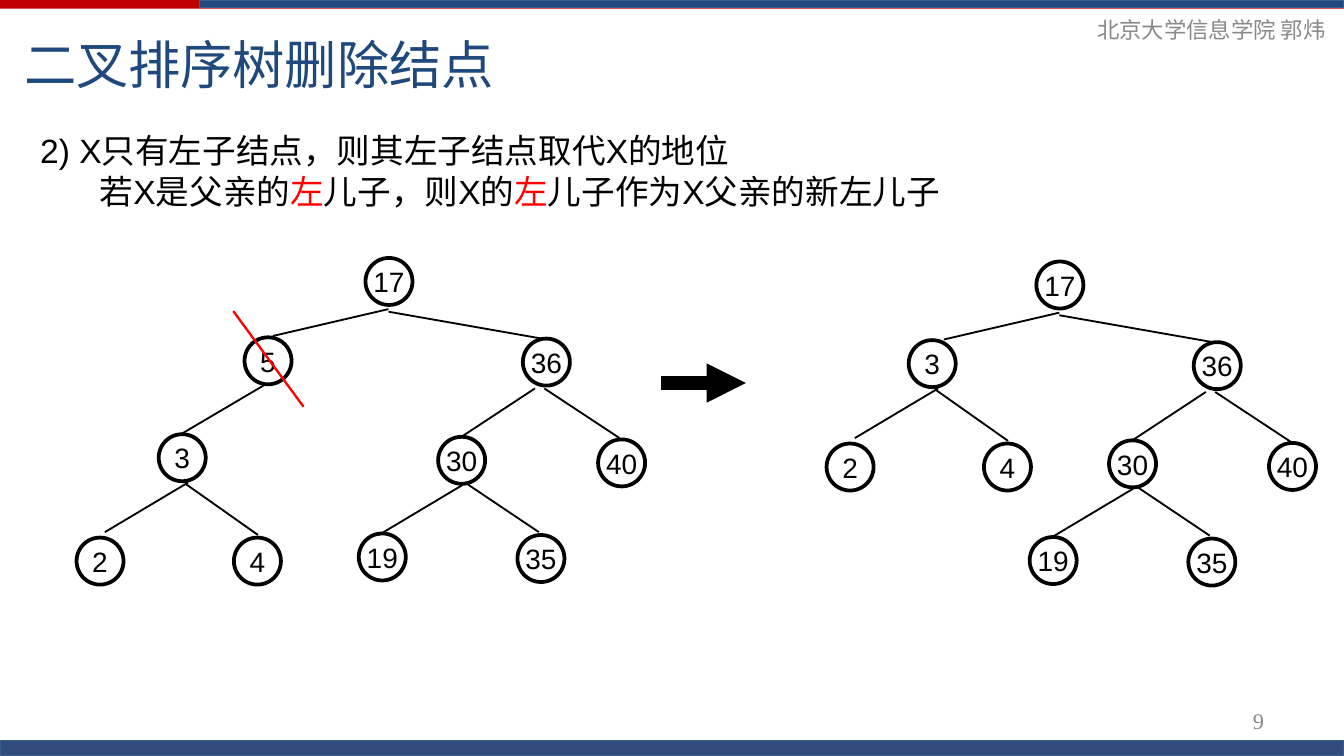
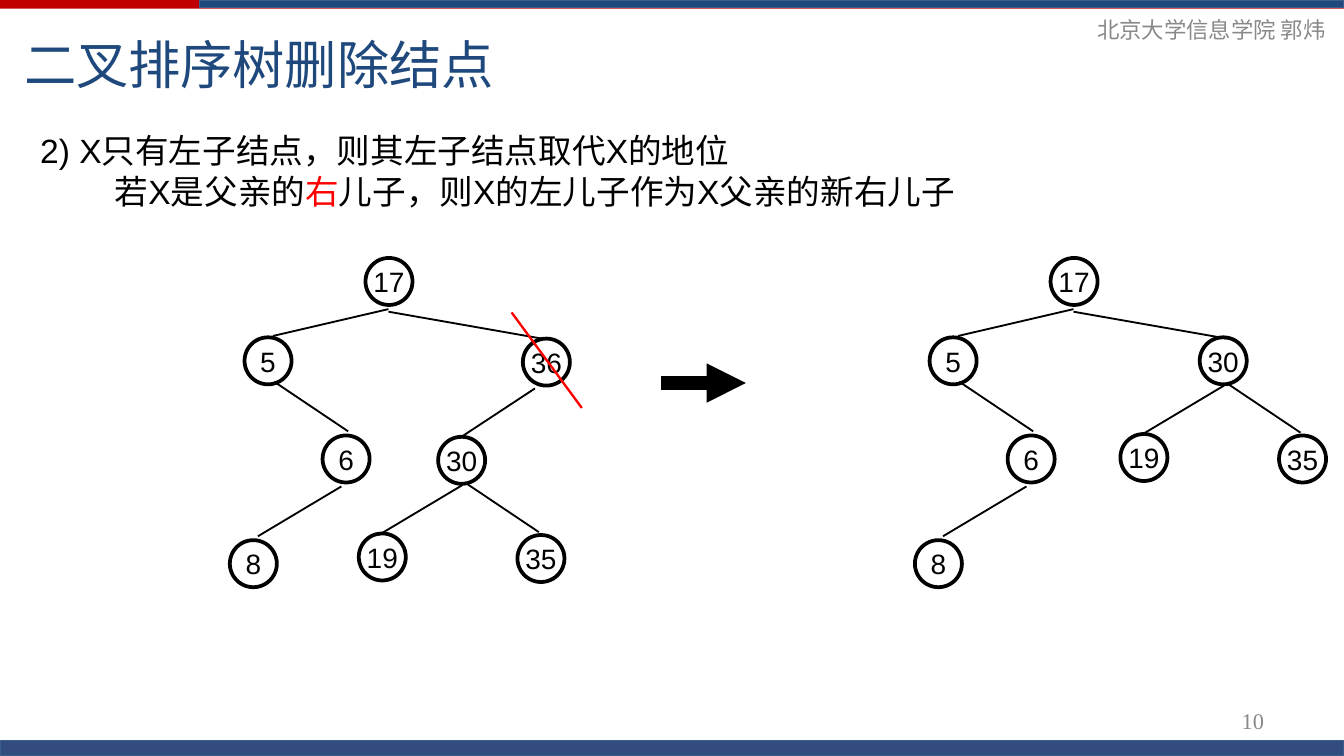
from lxml import etree
from pptx import Presentation
from pptx.dml.color import RGBColor
from pptx.enum.shapes import MSO_CONNECTOR, MSO_SHAPE
from pptx.enum.text import MSO_ANCHOR, PP_ALIGN
from pptx.oxml.ns import qn
from pptx.util import Pt

RECT, OVAL = MSO_SHAPE.RECTANGLE, MSO_SHAPE.OVAL
LINE = MSO_CONNECTOR.STRAIGHT
MID, TOP = MSO_ANCHOR.MIDDLE, MSO_ANCHOR.TOP
LEFT, RIGHT, CENTER = PP_ALIGN.LEFT, PP_ALIGN.RIGHT, PP_ALIGN.CENTER

HEX = {
    "red": "C00000", "blue": "1F497D", "edge": "3A5F8C", "navy": "002060",
    "gray": "898989", "black": "000000", "mark": "FF0000",
}
SANS, SERIF = "Arial", "Times New Roman"
WIDE, HIGH, NODE = 720, 405, 25.2

HEAD = "北京大学信息学院 郭炜"
TITLE = "二叉排序树删除结点"
RULE = "2) X只有左子结点，则其左子结点取代X的地位"

# MARK


PARTS = {
    "17": ([("17", 195.8, 138.2)],
           [(208.1, 165.6, 146.2, 180), (208.1, 167, 290.2, 181.4)]),
    "5": ([("5", 131, 180.7)], []),
    "5-3": ([], [(141.1, 206.6, 95.8, 233.3)]),
    "3": ([("3", 85, 232.6), ("2", 41, 288), ("4", 125.3, 288)],
          [(100.8, 258.5, 56.2, 285.1), (99.4, 259.2, 138.2, 286.6)]),
    "6": ([("6", 172.8, 233.3), ("8", 123.1, 289.4)],
          [(146.9, 204.5, 186.5, 231.1), (182.9, 260.6, 138.2, 287.3)]),
    "36": ([("36", 280.1, 181.4)], [(286.6, 208.1, 246.2, 234.7)]),
    "40": ([("40", 320.4, 235.4)], [(291.6, 208.1, 331.9, 234.7)]),
    "30": ([("30", 234.7, 234), ("19", 192.2, 285.8), ("35", 277.2, 286.6)],
           [(247.7, 259.9, 203, 286.6), (249.1, 258.5, 288.7, 285.1)]),
}

SLIDES = [
    {
        "page": "9", "indent": 32, "cut": "5",
        "case": [("若X是父亲的", "black"), ("左", "mark"), ("儿子，则X的", "black"),
                 ("左", "mark"), ("儿子作为X父亲的新左儿子", "black")],
        "trees": [(0, 0, ["17", "5", "5-3", "3", "36", "40", "30"]),
                  (359.4, 1.9, ["17", "36", "40", "30"]),
                  (401.8, -50.4, ["3"])],
    },
    {
        "page": "10", "indent": 40, "cut": "36",
        "case": [("若X是父亲的", "black"), ("右", "mark"),
                 ("儿子，则X的左儿子作为X父亲的新右儿子", "black")],
        "trees": [(0, 0, ["17", "5", "6", "36", "30"]),
                  (367, 0, ["17", "5", "6"]),
                  (408, -53.3, ["30"])],
    },
]


def tint(name):
    return RGBColor.from_string(HEX[name])


def write(par, runs, size, font, align=LEFT):
    par.alignment = align
    for text, color in runs:
        run = par.add_run()
        run.text = text
        run.font.size = Pt(size)
        run.font.name = font
        run.font.color.rgb = tint(color)


def add_text(slide, box, lines, size, font, align=LEFT, anchor=MID):
    frame = slide.shapes.add_textbox(*map(Pt, box)).text_frame
    frame.word_wrap = True
    frame.vertical_anchor = anchor
    for i, (indent, runs) in enumerate(lines):
        par = frame.add_paragraph() if i else frame.paragraphs[0]
        if indent:
            par._p.get_or_add_pPr().set("marL", str(Pt(indent)))
        write(par, runs, size, font, align)


def add_band(slide, box, fill, line=None, alpha=None):
    band = slide.shapes.add_shape(RECT, *map(Pt, box))
    band.shadow.inherit = False
    band.fill.solid()
    band.fill.fore_color.rgb = tint(fill)
    if line:
        band.line.color.rgb = tint(line)
        band.line.width = Pt(0)
    else:
        band.line.fill.background()
    if alpha:
        color = band.fill._xPr.find(qn("a:solidFill"))[0]
        etree.SubElement(color, qn("a:alpha")).set("val", str(alpha * 1000))


def add_line(slide, ends, color="black", width=1, arrow=False):
    line = slide.shapes.add_connector(LINE, *map(Pt, ends))
    line.line.color.rgb = tint(color)
    line.line.width = Pt(width)
    if arrow:
        etree.SubElement(line.line._ln, qn("a:tailEnd")).set("type", "triangle")
    etree.SubElement(line._element.spPr, qn("a:effectLst"))


def add_node(slide, text, x, y):
    node = slide.shapes.add_shape(OVAL, Pt(x), Pt(y), Pt(NODE), Pt(NODE))
    node.shadow.inherit = False
    node.fill.background()
    node.line.color.rgb = tint("black")
    node.line.width = Pt(2)
    frame = node.text_frame
    frame.margin_left = frame.margin_right = 0
    frame.margin_top = frame.margin_bottom = 0
    frame.word_wrap = False
    frame.vertical_anchor = MID
    write(frame.paragraphs[0], [(text, "black")], 15, SANS, CENTER)


def add_tree(slide, dx, dy, names):
    for name in names:
        nodes, edges = PARTS[name]
        for x1, y1, x2, y2 in edges:
            add_line(slide, (x1 + dx, y1 + dy, x2 + dx, y2 + dy))
        for text, x, y in nodes:
            add_node(slide, text, x + dx, y + dy)


def add_frame(slide, page):
    add_band(slide, (0, 0, WIDE, 4.65), "red")
    add_band(slide, (106.8, 0, WIDE - 106.8, 4.1), "blue", "edge")
    add_band(slide, (0, 396.6, WIDE, HIGH - 396.6), "navy", "edge", 80)
    add_text(slide, (549.4, 5, 168, 21.6), [(0, [(HEAD, "gray")])], 12, SERIF, RIGHT)
    add_text(slide, (5.8, 11.5, 714.2, 44.6), [(0, [(TITLE, "blue")])], 28, SANS)
    add_text(slide, (516.2, 375.1, 168, 21.6), [(0, [(page, "gray")])], 12, SERIF, RIGHT)


def build(deck, data):
    slide = deck.slides.add_slide(deck.slide_layouts[6])
    add_frame(slide, data["page"])
    lines = [(0, [(RULE, "black")]), (data["indent"], data["case"])]
    add_text(slide, (14.4, 66.2, 630, 51.1), lines, 18, SANS, anchor=TOP)
    for tree in data["trees"]:
        add_tree(slide, *tree)
    _, x, y = PARTS[data["cut"]][0][0]
    add_line(slide, (x - 6, y - 14, x + 31.6, y + 37.2), "mark", 1.25)
    add_line(slide, (354.2, 205.2, 399.6, 205.2), width=7, arrow=True)


def main():
    deck = Presentation()
    deck.slide_width, deck.slide_height = Pt(WIDE), Pt(HIGH)
    for data in SLIDES:
        build(deck, data)
    deck.save("out.pptx")


if __name__ == "__main__":
    main()
